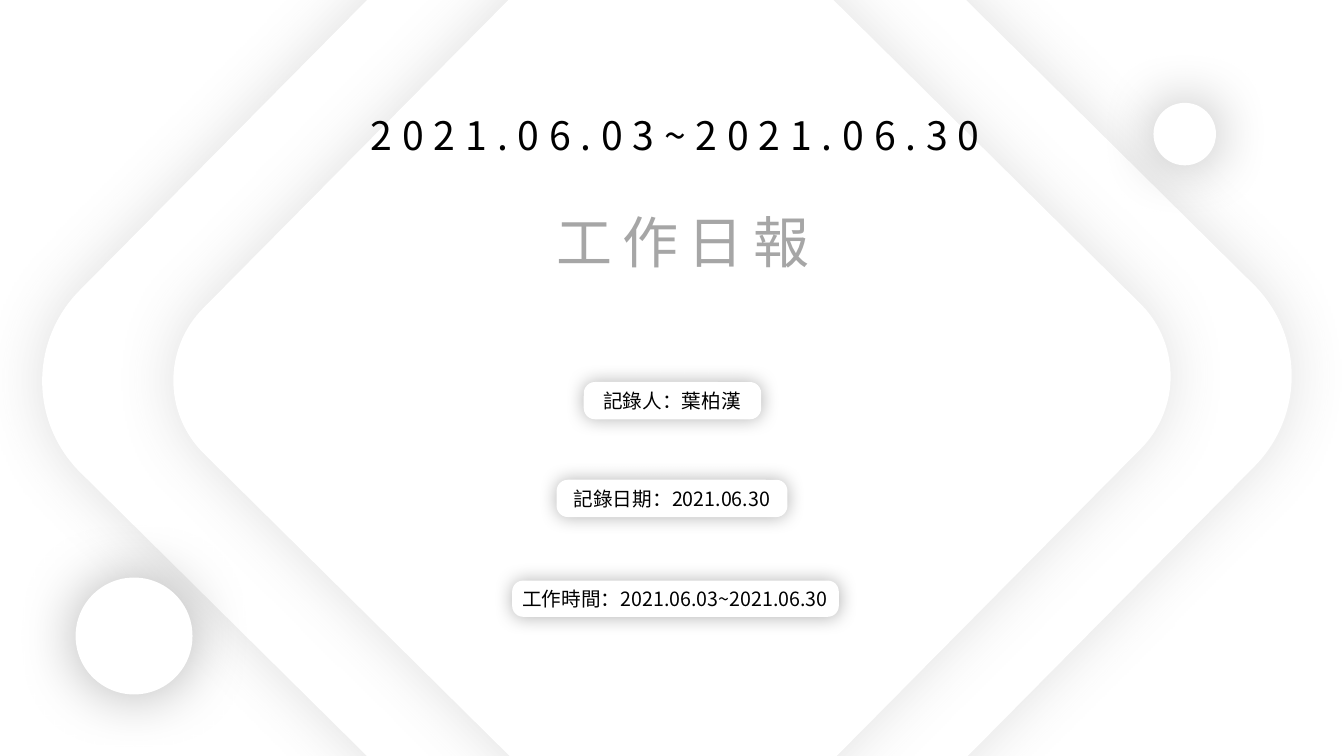
from lxml.etree import SubElement
from pptx import Presentation
from pptx.dml.color import RGBColor
from pptx.enum.shapes import MSO_SHAPE as Preset
from pptx.enum.text import MSO_AUTO_SIZE as AutoSize, PP_ALIGN as Align
from pptx.oxml.ns import qn
from pptx.util import Inches, Pt

FONT = "Noto Sans CJK SC"
WHITE, BLACK, GREY, SHADE = "FFFFFF", "000000", "A6A6A6", "595959"


def colour(value):
    return RGBColor.from_string(value)


def add_glow(shape, shade, opacity, blur):
    shape.shadow.inherit = False
    effects = shape._element.spPr.find(qn("a:effectLst"))
    shadow = SubElement(effects, qn("a:outerShdw"), blurRad=str(Pt(blur)),
                        dist="0", dir="0", algn="ctr", rotWithShape="0")
    tint = SubElement(shadow, qn("a:srgbClr"), val=shade)
    SubElement(tint, qn("a:alpha"), val=str(opacity * 1000))


def add_white_shape(parent, preset, left, top, width, height, glow, corner=None):
    shape = parent.shapes.add_shape(preset, Inches(left), Inches(top),
                                    Inches(width), Inches(height))
    if corner is not None:
        shape.adjustments[0] = corner
    shape.fill.solid()
    shape.fill.fore_color.rgb = colour(WHITE)
    shape.line.fill.background()
    add_glow(shape, *glow)
    return shape


def add_diamond(page, left, top, side):
    diamond = add_white_shape(page, Preset.ROUNDED_RECTANGLE, left, top, side, side,
                              (SHADE, 19, 43), 0.134)
    diamond.rotation = 44.7


def add_ball(page, left, top, size):
    add_white_shape(page, Preset.OVAL, left, top, size, size, (BLACK, 30, 43))


def add_text(parent, words, left, top, width, height, size, ink=BLACK, spacing=0):
    box = parent.shapes.add_textbox(Inches(left), Inches(top),
                                    Inches(width), Inches(height))
    frame = box.text_frame
    frame.word_wrap = True
    frame.auto_size = AutoSize.SHAPE_TO_FIT_TEXT
    para = frame.paragraphs[0]
    para.alignment = Align.CENTER
    span = para.add_run()
    span.text = words
    span.font.size = Pt(size)
    span.font.name = FONT
    span.font.color.rgb = colour(ink)
    properties = span.font._element
    SubElement(properties, qn("a:ea"), typeface=FONT)
    if spacing:
        properties.set("spc", str(spacing * 100))


def add_label(page, words, pill, text_area):
    group = page.shapes.add_group_shape()
    add_white_shape(group, Preset.ROUNDED_RECTANGLE, *pill, (BLACK, 30, 13), 0.302)
    add_text(group, words, *text_area, 14)


def main():
    deck = Presentation()
    deck.slide_width, deck.slide_height = Inches(13.33), Inches(7.5)
    page = deck.slides.add_slide(deck.slide_layouts[6])
    page.background.fill.solid()
    page.background.fill.fore_color.rgb = colour(WHITE)

    add_diamond(page, 1.86, -1, 9.51)
    add_diamond(page, 2.87, -0.04, 7.59)
    add_text(page, "2021.06.03~2021.06.30", 3.06, 1.06, 7.28, 0.57, 28, spacing=7)
    add_text(page, "工作日報", 4.4, 2.01, 4.75, 0.77, 40, GREY, 7)
    add_ball(page, 0.75, 5.73, 1.16)
    add_ball(page, 11.44, 1.02, 0.62)

    labels = [
        ("記錄人：葉柏漢", (5.79, 3.79, 1.76, 0.37), (5.62, 3.81, 2.09, 0.34)),
        ("記錄日期：2021.06.30", (5.52, 4.76, 2.29, 0.37), (5.46, 4.78, 2.41, 0.34)),
        ("工作時間：2021.06.03~2021.06.30", (5.08, 5.76, 3.24, 0.36),
         (4.99, 5.77, 3.41, 0.79)),
    ]
    for words, pill, text_area in labels:
        add_label(page, words, pill, text_area)
    deck.save("out.pptx")


if __name__ == "__main__":
    main()
